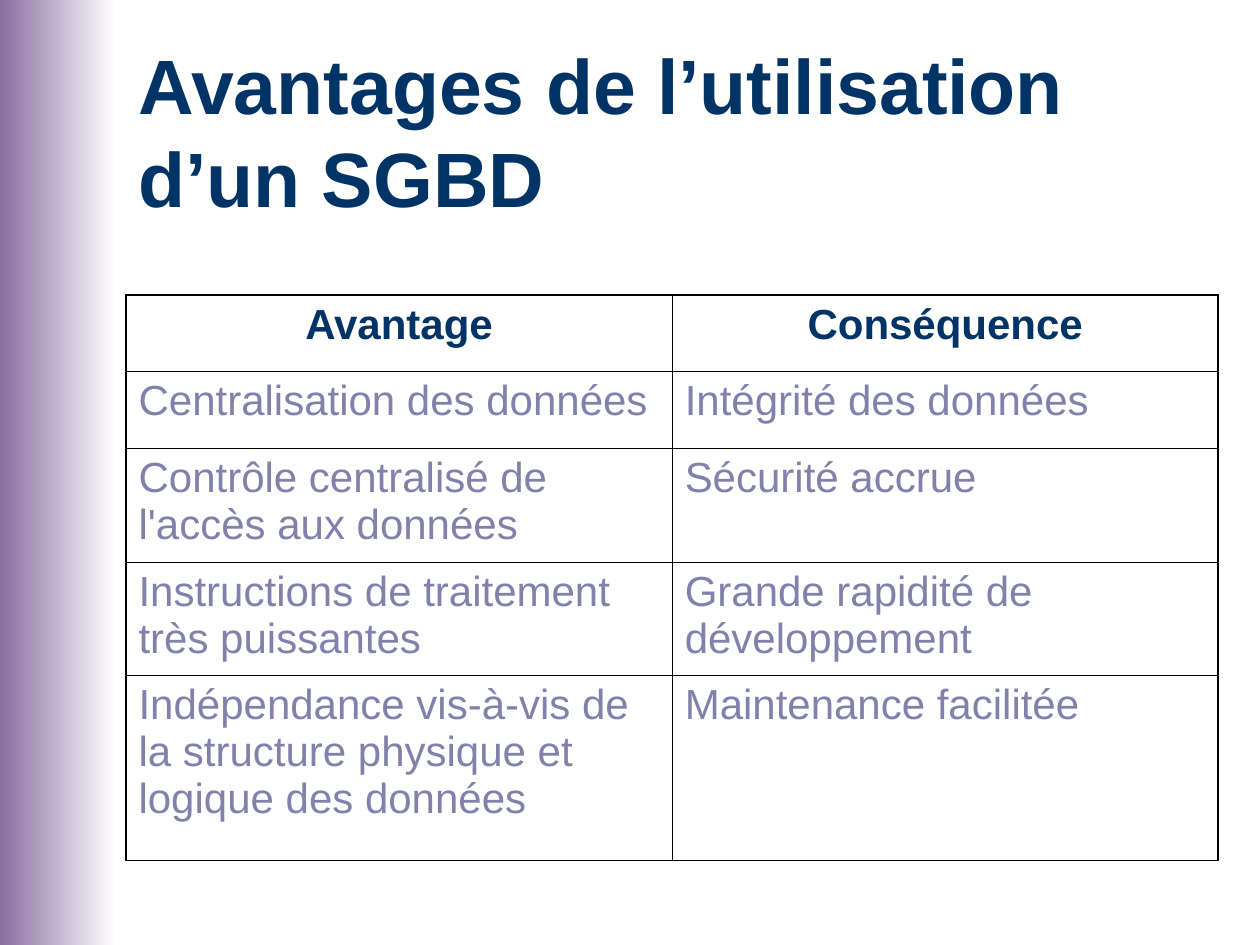
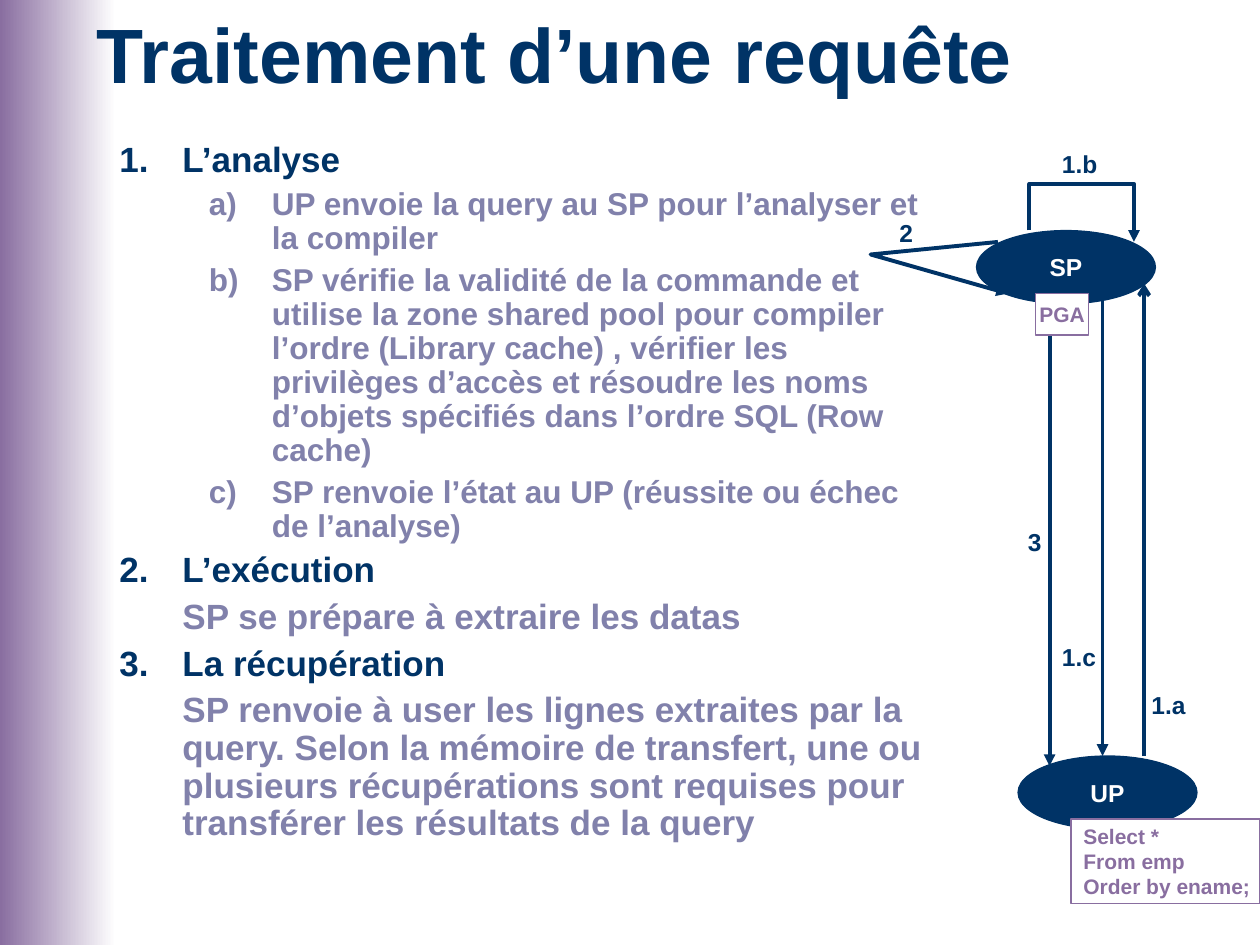
"""Build two slides on database systems: a table of benefits and the processing of a query."""
from lxml import etree
from pptx import Presentation
from pptx.dml.color import RGBColor
from pptx.enum.shapes import MSO_CONNECTOR, MSO_SHAPE
from pptx.enum.text import MSO_ANCHOR, PP_ALIGN
from pptx.oxml.ns import qn
from pptx.util import Inches, Pt

NAVY = RGBColor(0x00, 0x33, 0x66)
LAVENDER = RGBColor(0x81, 0x81, 0xAB)
PURPLE = RGBColor(0x89, 0x6E, 0xA0)
WHITE = RGBColor(0xFF, 0xFF, 0xFF)
RECT, ELLIPSE = MSO_SHAPE.RECTANGLE, MSO_SHAPE.OVAL
STRAIGHT = MSO_CONNECTOR.STRAIGHT
LEFT, CENTER = PP_ALIGN.LEFT, PP_ALIGN.CENTER
TOP, MIDDLE = MSO_ANCHOR.TOP, MSO_ANCHOR.MIDDLE
FONT = "Arial"
THIN, THICK = 0.45, 1.08

BENEFITS_TITLE = "Avantages de l’utilisation d’un SGBD"
BENEFITS = [
    ("Avantage", "Conséquence"),
    ("Centralisation des données", "Intégrité des données"),
    ("Contrôle centralisé de l'accès aux données", "Sécurité accrue"),
    ("Instructions de traitement très puissantes", "Grande rapidité de développement"),
    ("Indépendance vis-à-vis de la structure physique et logique des données",
     "Maintenance facilitée"),
]
ROW_HEIGHTS = [0.61, 0.61, 0.9, 0.9, 1.47]

QUERY_TITLE = "Traitement d’une requête"
STEPS = [
    ("L’analyse", [
        "UP envoie la query au SP pour l’analyser et la compiler",
        "SP vérifie la validité de la commande et utilise la zone shared pool pour compiler "
        "l’ordre (Library cache) , vérifier les privilèges d’accès et résoudre les noms "
        "d’objets spécifiés dans l’ordre SQL (Row cache)",
        "SP renvoie l’état au UP (réussite ou échec de l’analyse)"], None),
    ("L’exécution", [], "SP se prépare à extraire les datas"),
    ("La récupération", [],
     "SP renvoie à user les lignes extraites par la query. Selon la mémoire de transfert, une "
     "ou plusieurs récupérations sont requises pour transférer les résultats de la query"),
]
PROCESSES = [("SP", 7.75, 1.83), ("UP", 8.08, 6)]
NOTES = [
    (["Select *", "From emp", "Order by ename;"], (8.5, 6.5, 1.5, 0.67), LEFT),
    (["PGA"], (8.22, 2.33, 0.42, 0.33), CENTER),
]
ARROWS = [
    ((9.08, 6), (9.08, 2.25), "arrow"),
    ((8.75, 2.33), (8.75, 6), "triangle"),
    ((8.33, 2.42), (8.33, 6.08), "triangle"),
]
LOOPS = [
    [(8.17, 1.83), (8.17, 1.46), (9, 1.46), (9, 1.92)],
    [(7.92, 1.92), (6.91, 2.02), (8, 2.33)],
]
LABELS = [("1.a", 9.04, 5.43), ("1.b", 8.33, 1.13), ("1.c", 8.33, 5.05),
          ("2", 7.04, 1.68), ("3", 8.06, 4.13)]


def box(at):
    return [Inches(v) for v in at]


def add_run(p, text, size, color, bold=True):
    r = p.add_run()
    r.text = text
    r.font.name, r.font.size, r.font.bold = FONT, Pt(size), bold
    r.font.color.rgb = color


def write(tf, lines, size, color, align=LEFT, anchor=TOP, wrap=False):
    tf.word_wrap, tf.vertical_anchor = wrap, anchor
    for i, line in enumerate(lines):
        p = tf.paragraphs[0] if i == 0 else tf.add_paragraph()
        p.alignment = align
        add_run(p, line, size, color)


def add_text(s, at, lines, size, color, wrap=False):
    write(s.shapes.add_textbox(*box(at)).text_frame, lines, size, color, wrap=wrap)


def add_block(s, kind, at, fill, line, lines, size, color, align=CENTER):
    sp = s.shapes.add_shape(kind, *box(at))
    sp.shadow.inherit = False
    sp.fill.solid()
    sp.fill.fore_color.rgb = fill
    sp.line.color.rgb, sp.line.width = line, Pt(0.74)
    write(sp.text_frame, lines, size, color, align, MIDDLE)


def new_slide(prs, title, title_at):
    s = prs.slides.add_slide(prs.slide_layouts[6])
    band = s.shapes.add_shape(RECT, *box((0, 0, 0.92, 7.5)))
    band.shadow.inherit = False
    band.line.fill.background()
    band.fill.gradient()
    band.fill.gradient_angle = 0
    for stop, color, position in zip(band.fill.gradient_stops, (PURPLE, WHITE), (0, 1)):
        stop.color.rgb, stop.position = color, position
    add_text(s, title_at, [title], 44, NAVY, wrap=True)
    return s


def set_borders(cell, widths):
    tc_pr = cell._tc.get_or_add_tcPr()
    for i, (side, width) in enumerate(widths):
        ln = etree.Element(qn("a:" + side), w=str(Pt(width)))
        fill = etree.SubElement(ln, qn("a:solidFill"))
        etree.SubElement(fill, qn("a:srgbClr"), val="000000")
        tc_pr.insert(i, ln)


def add_benefits(s):
    rows, cols = len(BENEFITS), len(BENEFITS[0])
    at = (1, 2.34, 8.67, sum(ROW_HEIGHTS))
    table = s.shapes.add_table(rows, cols, *box(at)).table
    table.horz_banding = table.first_row = False
    for row, height in zip(table.rows, ROW_HEIGHTS):
        row.height = Inches(height)
    for i, texts in enumerate(BENEFITS):
        for j, text in enumerate(texts):
            cell = table.cell(i, j)
            cell.fill.solid()
            cell.fill.fore_color.rgb = WHITE
            outer = [("lnL", j == 0), ("lnR", j == cols - 1),
                     ("lnT", i == 0), ("lnB", i == rows - 1)]
            set_borders(cell, [(side, THICK if edge else THIN) for side, edge in outer])
            p = cell.text_frame.paragraphs[0]
            p.alignment = CENTER if i == 0 else LEFT
            p.space_before = Pt(6)
            add_run(p, text, 24, NAVY if i == 0 else LAVENDER, i == 0)


def add_step(tf, text, size, color, level=0, scheme=None, start=1):
    p = tf.add_paragraph() if tf.paragraphs[0].runs else tf.paragraphs[0]
    p.level, p.line_spacing, p.space_before = level, 0.9, Pt(size / 4)
    p_pr = p._p.get_or_add_pPr()
    p_pr.set("marL", str(Inches((1.02, 1.73)[level])))
    p_pr.set("indent", str(Inches(-0.5 if scheme else 0)))
    if scheme:
        bullet_color = etree.SubElement(p_pr, qn("a:buClr"))
        etree.SubElement(bullet_color, qn("a:srgbClr"), val=str(color))
        etree.SubElement(p_pr, qn("a:buFont"), typeface=FONT)
        etree.SubElement(p_pr, qn("a:buAutoNum"), type=scheme, startAt=str(start))
    add_run(p, text, size, color)


def add_steps(s):
    tf = s.shapes.add_textbox(*box((0.33, 1.08, 7.17, 6.04))).text_frame
    tf.word_wrap = True
    for number, (heading, items, detail) in enumerate(STEPS, 1):
        add_step(tf, heading, 20, NAVY, 0, "arabicPeriod", number)
        for item in items:
            add_step(tf, item, 18, LAVENDER, 1, "alphaLcParenR")
        if detail:
            add_step(tf, detail, 20, LAVENDER)


def style_arrow(sp, head):
    sp.line.color.rgb, sp.line.width = NAVY, Pt(2.24)
    etree.SubElement(sp.line._get_or_add_ln(), qn("a:tailEnd"), type=head)


def add_diagram(s):
    for name, x, y in PROCESSES:
        add_block(s, ELLIPSE, (x, y, 1.42, 0.58), NAVY, NAVY, [name], 14, WHITE)
    for start, end, head in ARROWS:
        cn = s.shapes.add_connector(STRAIGHT, *box(start + end))
        style_arrow(cn, head)
        etree.SubElement(cn._element.spPr, qn("a:effectLst"))
    for points in LOOPS:
        start, *rest = [tuple(box(pt)) for pt in points]
        fb = s.shapes.build_freeform(*start)
        fb.add_line_segments(rest, close=False)
        sp = fb.convert_to_shape()
        sp.shadow.inherit = False
        sp.fill.background()
        style_arrow(sp, "triangle")
    for lines, at, align in NOTES:
        add_block(s, RECT, at, WHITE, PURPLE, lines, 12, PURPLE, align)
    for text, x, y in LABELS:
        add_text(s, (x, y, 0.31 if len(text) == 1 else 0.48, 0.34), [text], 14, NAVY)


prs = Presentation()
prs.slide_width, prs.slide_height = Inches(10), Inches(7.5)
add_benefits(new_slide(prs, BENEFITS_TITLE, (1, 0.25, 8.75, 1.57)))
query = new_slide(prs, QUERY_TITLE, (0.67, 0, 9.33, 0.84))
add_steps(query)
add_diagram(query)
prs.save("out.pptx")
